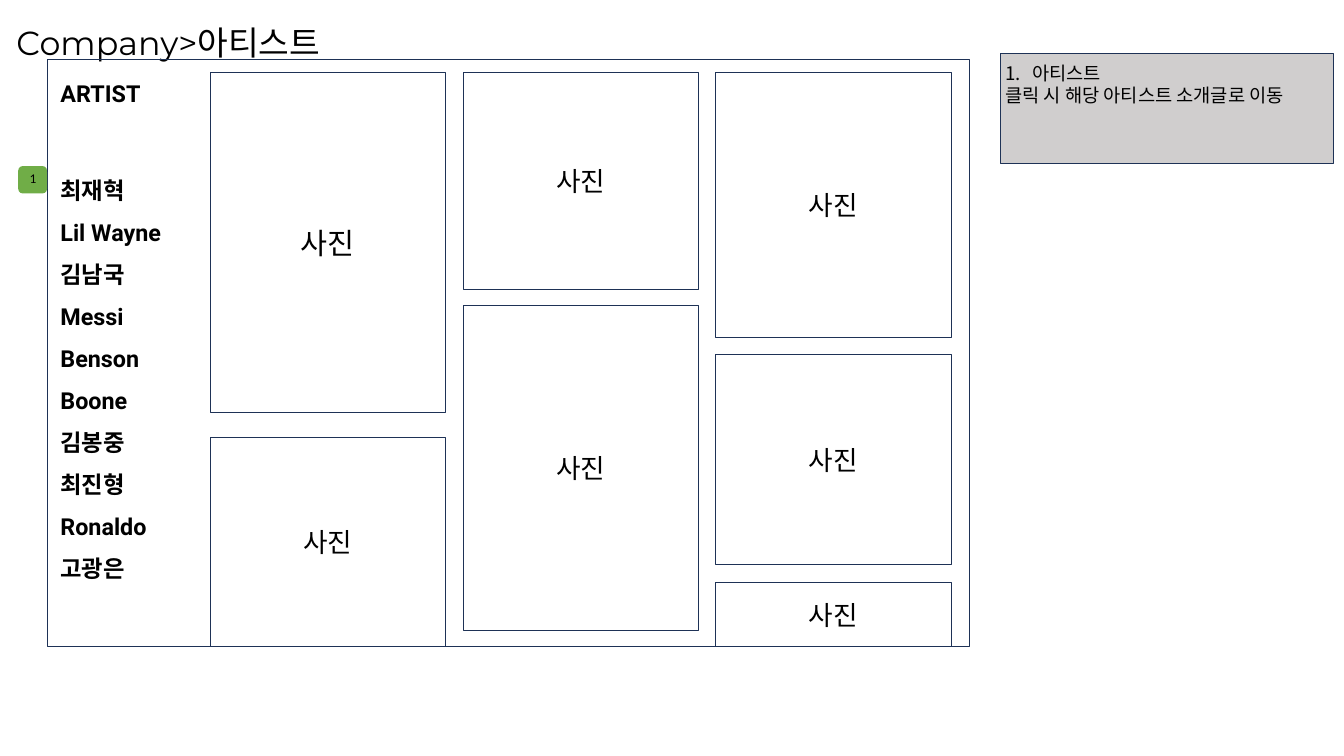
from typing import NamedTuple

import pptx
import pptx.dml.color
import pptx.enum.shapes
import pptx.enum.text
import pptx.oxml
import pptx.oxml.ns
import pptx.util

Inches = pptx.util.Inches
Pt = pptx.util.Pt
Shape = pptx.enum.shapes.MSO_SHAPE
Align = pptx.enum.text.PP_ALIGN
Anchor = pptx.enum.text.MSO_ANCHOR

NAVY, GREEN, GRAY, BLACK = "1E3256", "70AD47", "D0CECE", "000000"
FRAME_BOTTOM = 13.47
PHOTO_WIDTH = 4.9
PHOTO_LEFTS = (4.38, 9.65, 14.91)
ARTISTS = ("최재혁", "Lil Wayne", "김남국", "Messi", "Benson Boone",
           "김봉중", "최진형", "Ronaldo", "고광은")


class Box(NamedTuple):
    left: float
    top: float
    width: float
    height: float

    def lengths(self) -> list:
        return [Inches(value) for value in self]


class Photo(NamedTuple):
    column: int
    top: float
    bottom: float
    size: int = 40


PHOTOS = (
    Photo(0, 1.5, 8.6, 44),
    Photo(1, 1.5, 6.02),
    Photo(2, 1.5, 7.02),
    Photo(1, 6.36, 13.14),
    Photo(0, 9.11, FRAME_BOTTOM),
    Photo(2, 7.39, 11.75),
    Photo(2, 12.14, FRAME_BOTTOM),
)


def rgb(color: str):
    return pptx.dml.color.RGBColor.from_string(color)


def apply(target, values: dict) -> None:
    for name, value in values.items():
        setattr(target, name, value)


def write(paragraph, text: str, size: int, font: str = "Calibri",
          bold: bool = False, **layout) -> None:
    run = paragraph.add_run()
    run.text = text
    apply(run.font, {"name": font, "size": Pt(size), "bold": bold})
    run.font.color.rgb = rgb(BLACK)
    apply(paragraph, layout)


def add_panel(slide, box: Box, fill: str | None = None,
              line: str | None = NAVY, preset=Shape.RECTANGLE):
    panel = slide.shapes.add_shape(preset, *box.lengths())
    panel.shadow.inherit = False
    if fill:
        panel.fill.solid()
        panel.fill.fore_color.rgb = rgb(fill)
    else:
        panel.fill.background()
    if line:
        panel.line.color.rgb = rgb(line)
        panel.line.width = Pt(1)
    else:
        panel.line.fill.background()
    return panel


def add_text(slide, box: Box, wrap: bool = True):
    frame = slide.shapes.add_textbox(*box.lengths()).text_frame
    frame.word_wrap = wrap
    return frame


def add_photo(slide, photo: Photo) -> None:
    box = Box(PHOTO_LEFTS[photo.column], photo.top, PHOTO_WIDTH, photo.bottom - photo.top)
    frame = add_panel(slide, box).text_frame
    frame.vertical_anchor = Anchor.MIDDLE
    write(frame.paragraphs[0], "사진", photo.size, alignment=Align.CENTER)


def number_paragraph(paragraph, indent: float) -> None:
    properties = paragraph._p.get_or_add_pPr()
    properties.set("marL", str(Inches(indent)))
    properties.set("indent", str(-Inches(indent)))
    properties.append(pptx.oxml.parse_xml(
        f'<a:buAutoNum {pptx.oxml.ns.nsdecls("a")} type="arabicPeriod"/>'))


def add_heading(slide) -> None:
    heading = slide.shapes.title
    apply(heading, dict(zip(Box._fields, Box(0.24, 0.41, 7.13, 0.94).lengths())))
    apply(heading.text_frame, {"vertical_anchor": Anchor.TOP, "word_wrap": True,
                               "auto_size": pptx.enum.text.MSO_AUTO_SIZE.NONE})
    write(heading.text_frame.paragraphs[0], "Company>아티스트", 50, "Montserrat",
          alignment=Align.LEFT)


def add_artists(slide) -> None:
    menu = add_text(slide, Box(1.16, 1.61, 3.03, 11.01))
    write(menu.paragraphs[0], "ARTIST", 35, "Roboto", True)
    for index, artist in enumerate(ARTISTS):
        write(menu.add_paragraph(), artist, 35, "Roboto", True,
              line_spacing=1.5, space_before=Pt(0 if index else 82))


def add_marker(slide) -> None:
    add_panel(slide, Box(0.38, 3.46, 0.6, 0.57), GREEN, None, Shape.ROUNDED_RECTANGLE)
    marker = add_text(slide, Box(0.49, 3.5, 0.4, 0.55), wrap=False)
    write(marker.paragraphs[0], "1", 20, alignment=Align.CENTER)


def add_description(slide) -> None:
    add_panel(slide, Box(20.85, 1.12, 6.93, 2.29), GRAY)
    description = add_text(slide, Box(20.85, 1.24, 6.93, 1.04))
    number_paragraph(description.paragraphs[0], 0.56)
    write(description.paragraphs[0], "아티스트", 28)
    write(description.add_paragraph(), "클릭 시 해당 아티스트 소개글로 이동", 28)


def main() -> None:
    deck = pptx.Presentation()
    apply(deck, {"slide_width": Inches(28), "slide_height": Inches(15.75)})
    slide = deck.slides.add_slide(deck.slide_layouts[5])
    add_heading(slide)
    add_panel(slide, Box(0.98, 1.24, 19.21, FRAME_BOTTOM - 1.24))
    for photo in PHOTOS:
        add_photo(slide, photo)
    add_artists(slide)
    add_marker(slide)
    add_description(slide)
    deck.save("out.pptx")


if __name__ == "__main__":
    main()
